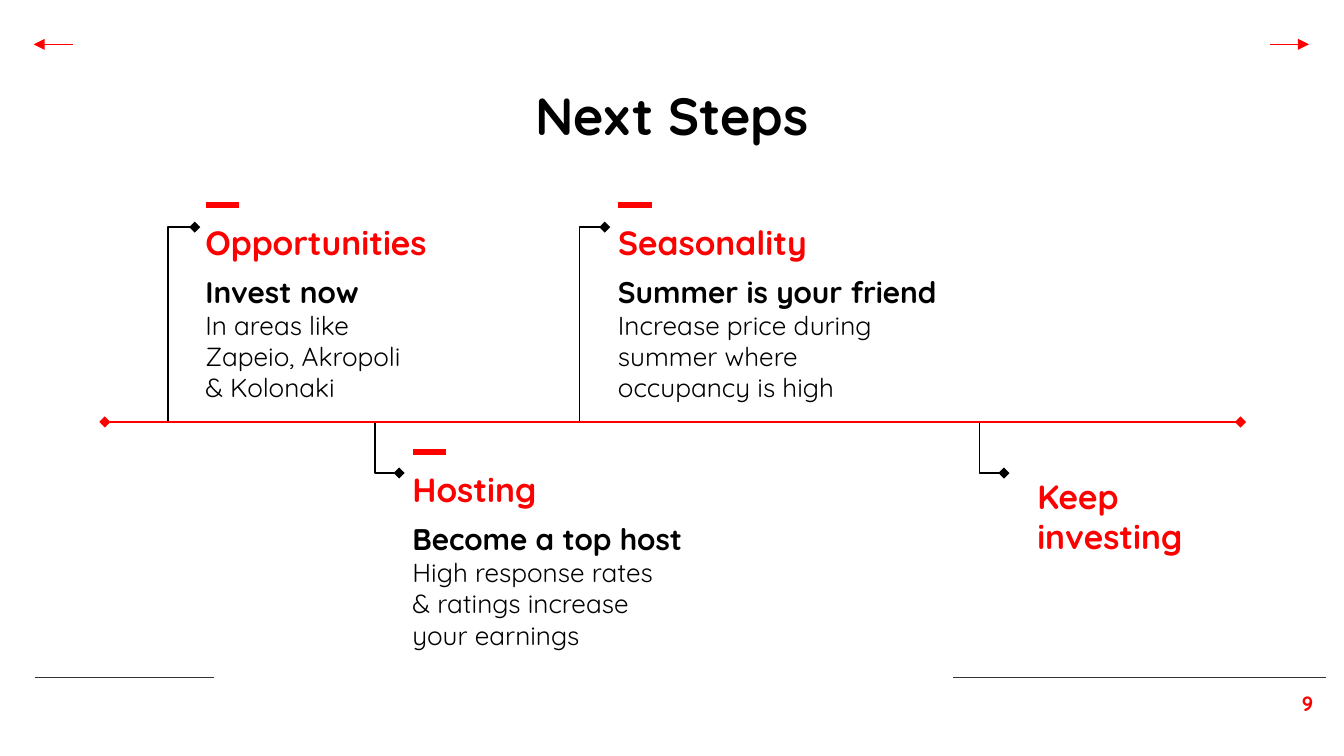
import pptx
import pptx.dml.color
import pptx.enum.shapes
import pptx.enum.text
import pptx.oxml
import pptx.oxml.ns
import pptx.util

COLORS = {"accent": "FD0000", "ink": "000000", "rule": "333333"}
FONT = "Quicksand"
ALIGN = pptx.enum.text.PP_ALIGN
ANCHOR = pptx.enum.text.MSO_ANCHOR
CONNECTOR = pptx.enum.shapes.MSO_CONNECTOR

deck = pptx.Presentation()
deck.slide_width = pptx.util.Inches(10)
deck.slide_height = pptx.util.Inches(5.625)
UNIT = deck.slide_width / 100  # square grid, 100 columns wide
page = deck.slides.add_slide(deck.slide_layouts[5])


def write(text, left, top, width, height, size, color="ink", bold=True,
          align=ALIGN.LEFT, anchor=ANCHOR.TOP, box=None):
    """Put one formatted paragraph in a new text box or in the given box."""
    box = box or page.shapes.add_textbox(0, 0, 0, 0)
    box.left, box.top, box.width, box.height = (
        round(n * UNIT) for n in (left, top, width, height))
    frame = box.text_frame
    frame.word_wrap = True
    frame.auto_size = pptx.enum.text.MSO_AUTO_SIZE.NONE
    frame.vertical_anchor = anchor
    frame.margin_left = frame.margin_right = pptx.util.Inches(0.1)
    frame.margin_top = frame.margin_bottom = pptx.util.Inches(0.1)
    para = frame.paragraphs[0]
    para.alignment = align
    span = para.add_run()
    span.text = text
    span.font.name, span.font.size, span.font.bold = FONT, pptx.util.Pt(size), bold
    span.font.color.rgb = pptx.dml.color.RGBColor.from_string(COLORS[color])


def draw(start, end, color="accent", weight=0.75, head=None, tail=None, elbow=False):
    """Draw a straight line, or a one-corner elbow that leaves start sideways."""
    kind = CONNECTOR.ELBOW if elbow else CONNECTOR.STRAIGHT
    line = page.shapes.add_connector(kind, *(round(n * UNIT) for n in start + end))
    line.line.width = pptx.util.Pt(weight)
    line.line.color.rgb = pptx.dml.color.RGBColor.from_string(COLORS[color])
    properties = line._element.spPr
    if elbow:
        properties.find(pptx.oxml.ns.qn("a:prstGeom")).set("prst", "bentConnector2")
    outline = line.line._get_or_add_ln()
    for tag, shape in (("headEnd", head), ("tailEnd", tail)):
        if shape:
            outline.append(pptx.oxml.parse_xml(
                f'<a:{tag} {pptx.oxml.ns.nsdecls("a")} type="{shape}"/>'))
    properties.append(pptx.oxml.parse_xml(
        f'<a:effectLst {pptx.oxml.ns.nsdecls("a")}/>'))


# Footer rules and page number
draw((2.6, 50.4), (15.9, 50.4), color="rule")
draw((70.9, 50.4), (98.7, 50.4), color="rule")
write("9", 92.3, 50.4, 6.4, 4.3, size=11, color="accent", align=ALIGN.RIGHT)

# Title
write("Next Steps", 16.1, 5.2, 67.8, 6.3, size=28, align=ALIGN.CENTER,
      box=page.shapes.title)

# Steps: left, top, heading, subheading, body, body width
steps = [
    (14.3, 15.5, "Opportunities", "Invest now",
     "In areas like Zapeio, Akropoli & Kolonaki", 18),
    (29.7, 33.9, "Hosting", "Become a top host",
     "High response rates & ratings increase your earnings", 21.5),
    (45, 15.5, "Seasonality", "Summer is your friend",
     "Increase price during summer where occupancy is high", 22),
]
for left, top, heading, subheading, body, width in steps:
    write(subheading, left, top + 3.85, 26.4, 3.4, size=16)
    write(heading, left, top, 20.1, 2.7, size=18, color="accent")
    write(body, left, top + 6.5, width, 7.4, size=14, bold=False)
    draw((left + 3.5, top - 0.25), (left + 1, top - 0.25), weight=3)
write("Keep investing", 76.2, 33.6, 15.3, 8.8, size=18, color="accent",
      anchor=ANCHOR.BOTTOM)

# Elbows from each step to the timeline
AXIS = 31.4
for dot, stem, level in ((14.5, 12.5, 16.9), (29.7, 27.9, 35.2),
                         (45, 43.1, 16.9), (74.7, 72.9, 35.2)):
    draw((dot, level), (stem, AXIS), color="ink", head="diamond", elbow=True)

# Timeline
draw((7.8, AXIS), (92.3, AXIS), weight=1.5, head="diamond", tail="diamond")

# Navigation arrows
draw((94.5, 3.3), (97.4, 3.3), tail="triangle")
draw((5.4, 3.3), (2.5, 3.3), tail="triangle")

deck.save("out.pptx")
